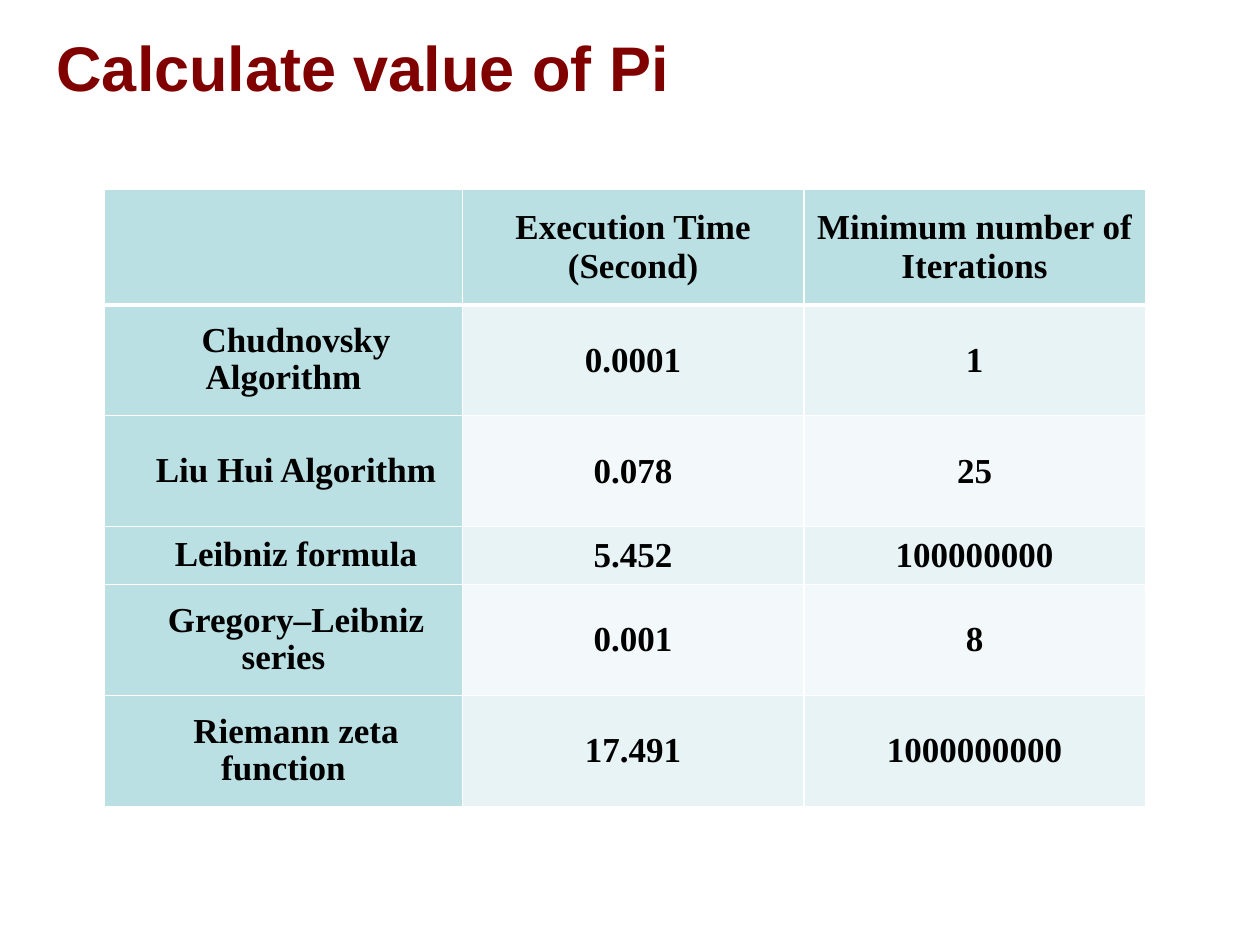
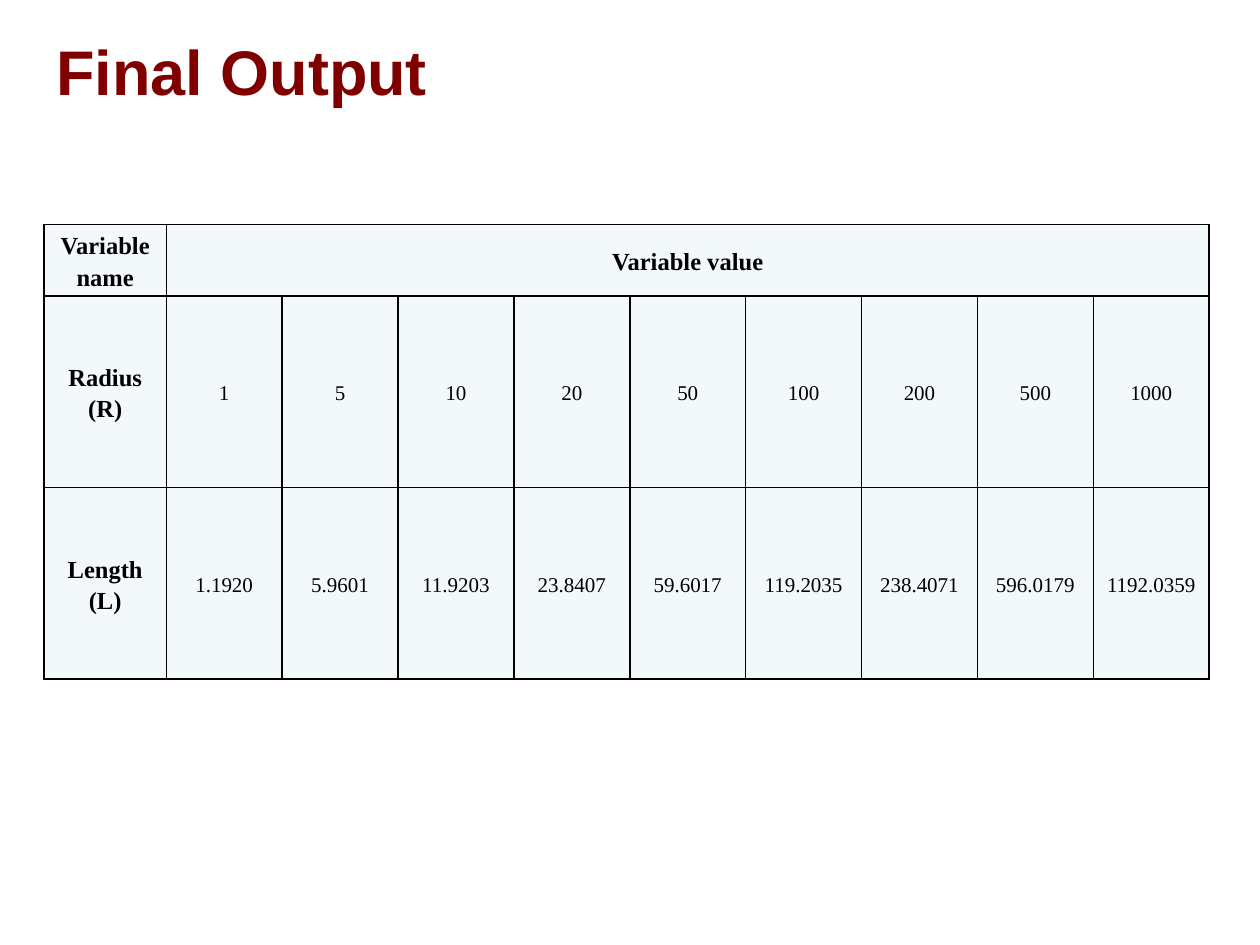
"""Build two slides of result tables: Pi algorithms and final output."""
from dataclasses import dataclass

from lxml.etree import SubElement
from pptx import Presentation
from pptx.dml.color import RGBColor as Color
from pptx.enum.text import MSO_ANCHOR as Anchor, PP_ALIGN as Align
from pptx.oxml.ns import qn
from pptx.util import Inches, Pt


@dataclass(frozen=True)
class Theme:
    title_font: str = "Arial"
    table_font: str = "Times New Roman"
    title: str = "800000"
    text: str = "000000"
    white: str = "FFFFFF"
    strong: str = "BBE0E3"
    band: str = "E7F3F4"
    pale: str = "F3F9FA"
    title_size: int = 36
    result_size: int = 20
    label_size: int = 14
    value_size: int = 12


theme = Theme()


def add_title(page, text, top, width, height):
    box = page.shapes.add_textbox(Inches(0.35), Inches(top), Inches(width), Inches(height))
    box.text_frame.word_wrap = False
    span = box.text_frame.paragraphs[0].add_run()
    span.text = text
    span.font.name = theme.title_font
    span.font.size = Pt(theme.title_size)
    span.font.bold = True
    span.font.color.rgb = Color.from_string(theme.title)


def fill_cell(cell, text, size, bold, fill, line, top=1, bottom=1):
    cell.margin_left = cell.margin_right = Inches(0.07)
    cell.margin_top = cell.margin_bottom = 0
    cell.vertical_anchor = Anchor.MIDDLE
    properties = cell._tc.get_or_add_tcPr()
    for side, points in {"L": 1, "R": 1, "T": top, "B": bottom}.items():
        border = SubElement(properties, qn(f"a:ln{side}"), w=str(Pt(points)))
        SubElement(SubElement(border, qn("a:solidFill")), qn("a:srgbClr"), val=line)
    cell.fill.solid()
    cell.fill.fore_color.rgb = Color.from_string(fill)
    frame = cell.text_frame
    for index, words in enumerate(text.split("\n") if text else []):
        para = frame.add_paragraph() if index else frame.paragraphs[0]
        para.alignment = Align.CENTER
        span = para.add_run()
        span.text = words
        span.font.name = theme.table_font
        span.font.size = Pt(size)
        span.font.bold = bold
        span.font.color.rgb = Color.from_string(theme.text)
    return frame.paragraphs[0]


deck = Presentation()
deck.slide_width, deck.slide_height = Inches(10), Inches(7.5)
blank = deck.slide_layouts[6]

page = deck.slides.add_slide(blank)
add_title(page, "Calculate value of Pi", 0.18, 5.11, 1.31)
results = [
    ("", "Execution Time\n(Second)", "Minimum number of Iterations"),
    ("Chudnovsky Algorithm", "0.0001", "1"),
    ("Liu Hui Algorithm", "0.078", "25"),
    ("Leibniz formula", "5.452", "100000000"),
    ("Gregory–Leibniz series", "0.001", "8"),
    ("Riemann zeta function", "17.491", "1000000000"),
]
table = page.shapes.add_table(
    len(results), 3, Inches(0.83), Inches(1.5), Inches(8.26), Inches(4.88)
).table
for column, width in zip(table.columns, (2.84, 2.71, 2.71)):
    column.width = Inches(width)
for row, height in zip(table.rows, (0.92, 0.88, 0.88, 0.46, 0.88, 0.88)):
    row.height = Inches(height)
for r, record in enumerate(results):
    for c, text in enumerate(record):
        fill = theme.strong if r == 0 or c == 0 else theme.band if r % 2 else theme.pale
        para = fill_cell(
            table.cell(r, c), text, theme.result_size, True, fill, theme.white,
            top=3 if r == 1 else 1, bottom=3 if r == 0 else 1,
        )
        if r and c == 0:
            para.line_spacing = 0.95
            para.space_after = Pt(6)
            para._p.get_or_add_pPr().set("indent", str(Inches(0.2)))

page = deck.slides.add_slide(blank)
add_title(page, "Final Output", 0.21, 3.18, 0.71)
outputs = [
    ["Variable name", "Variable value"] + [""] * 8,
    ["Radius (R)", "1", "5", "10", "20", "50", "100", "200", "500", "1000"],
    ["Length (L)", "1.1920", "5.9601", "11.9203", "23.8407", "59.6017",
     "119.2035", "238.4071", "596.0179", "1192.0359"],
]
table = page.shapes.add_table(
    len(outputs), 10, Inches(0.35), Inches(1.78), Inches(9.21), Inches(3.62)
).table
for c, column in enumerate(table.columns):
    column.width = Inches(0.92 if c else 0.97)
for r, row in enumerate(table.rows):
    row.height = Inches(1.52 if r else 0.57)
table.cell(0, 1).merge(table.cell(0, 9))
for r, record in enumerate(outputs):
    for c, text in enumerate(record):
        label = r == 0 or c == 0
        size = theme.label_size if label else theme.value_size
        para = fill_cell(table.cell(r, c), text, size, label, theme.pale, theme.text)
        para.line_spacing = 1.15
        if not label:
            para.space_after = Pt(8)

deck.save("out.pptx")
